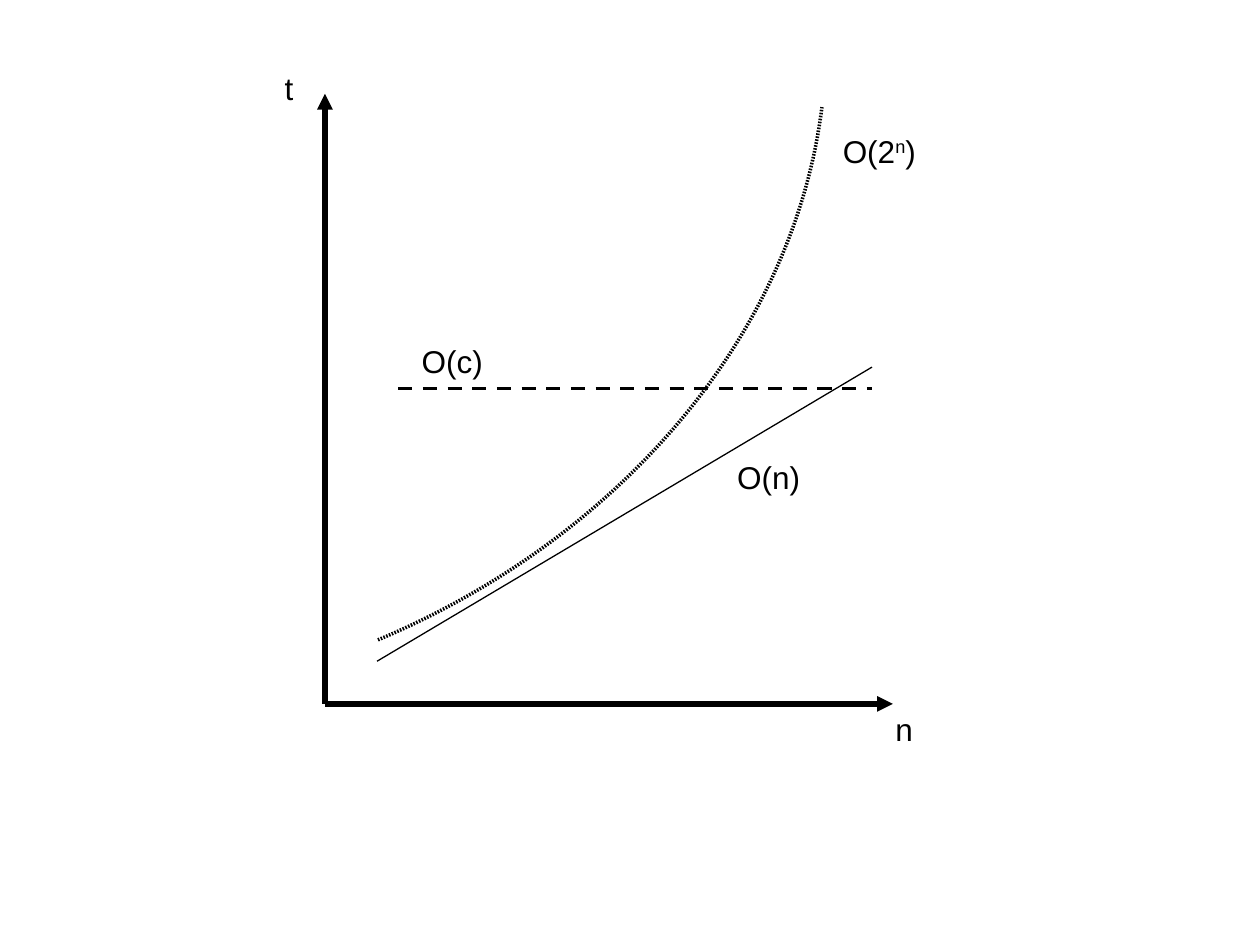
from lxml import etree
from pptx import Presentation, util as u
from pptx.dml.color import RGBColor
from pptx.enum import dml, shapes, text
from pptx.oxml.ns import qn

INK = "000000"
ORIGIN = (6.55, 14.19)
DASH = dml.MSO_LINE.DASH

LINES = [
    (ORIGIN, (6.55, 1.89), 3, None, True),
    (ORIGIN, (18.0, 14.19), 3, None, True),
    ((7.6, 13.33), (17.58, 7.4), 0.75, None, False),
    ((8.03, 7.83), (17.58, 7.83), 2, DASH, False),
]
EXPONENTIAL = [(7.62, 12.9), (12.5, 10.85), (16.0, 6.75), (16.57, 2.16)]
LABELS = [
    (["n"], 17.8, 14.19, 0.86),
    (["t"], 5.49, 1.26, 0.69),
    (["O(2", "n", ")"], 16.74, 2.53, 1.98),
    (["O(c)"], 8.25, 6.78, 1.78),
    (["O(n)"], 14.61, 9.11, 1.8),
]


def color(value):
    return RGBColor.from_string(value)


def style_line(shape, width, dash=None):
    shape.line.color.rgb = color(INK)
    shape.line.width = u.Pt(width)
    if dash:
        shape.line.dash_style = dash


def add_line(slide, start, end, width, dash, arrow):
    points = [u.Cm(value) for value in start + end]
    line = slide.shapes.add_connector(shapes.MSO_CONNECTOR.STRAIGHT, *points)
    style_line(line, width, dash)
    properties = line._element.spPr
    if arrow:
        etree.SubElement(properties.find(qn("a:ln")), qn("a:tailEnd"), type="triangle")
    etree.SubElement(properties, qn("a:effectLst"))


def add_dotted_curve(slide, points, width):
    start, *others = [(u.Cm(x), u.Cm(y)) for x, y in points]
    builder = slide.shapes.build_freeform(*start)
    builder.add_line_segments(others, close=False)
    curve = builder.convert_to_shape()
    curve.shadow.inherit = False
    curve.fill.background()
    style_line(curve, width)
    dots = etree.SubElement(curve._element.spPr.find(qn("a:ln")), qn("a:custDash"))
    etree.SubElement(dots, qn("a:ds"), d="45000", sp="40000")
    outline = next(curve._element.iter(qn("a:path")))
    bezier = etree.SubElement(outline, qn("a:cubicBezTo"))
    for segment in outline.findall(qn("a:lnTo")):
        bezier.append(segment[0])
        outline.remove(segment)


def add_label(slide, parts, left, top, width):
    box = slide.shapes.add_textbox(u.Cm(left), u.Cm(top), u.Cm(width), u.Cm(1.02))
    frame = box.text_frame
    frame.word_wrap = False
    frame.auto_size = text.MSO_AUTO_SIZE.SHAPE_TO_FIT_TEXT
    for index, part in enumerate(parts):
        run = frame.paragraphs[0].add_run()
        run.text = part
        run.font.name = "Arial"
        run.font.size = u.Pt(18)
        run.font.color.rgb = color(INK)
        if index == 1:
            run._r.get_or_add_rPr().set("baseline", "30000")


def main():
    presentation = Presentation()
    presentation.slide_width = u.Cm(25.4)
    presentation.slide_height = u.Cm(19.05)
    slide = presentation.slides.add_slide(presentation.slide_layouts[6])
    for line in LINES:
        add_line(slide, *line)
    add_dotted_curve(slide, EXPONENTIAL, 2)
    for label in LABELS:
        add_label(slide, *label)
    presentation.save("out.pptx")


if __name__ == "__main__":
    main()
